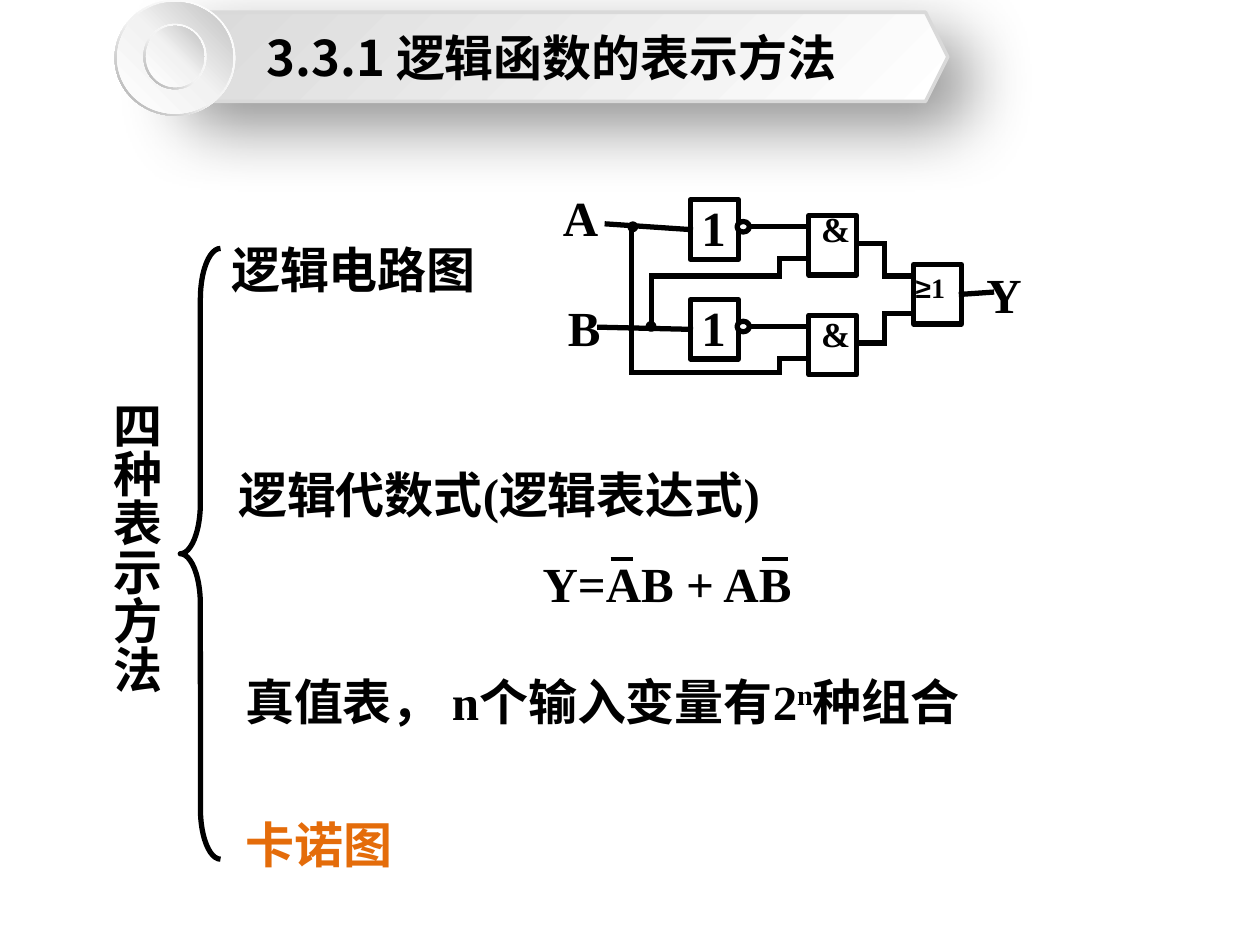
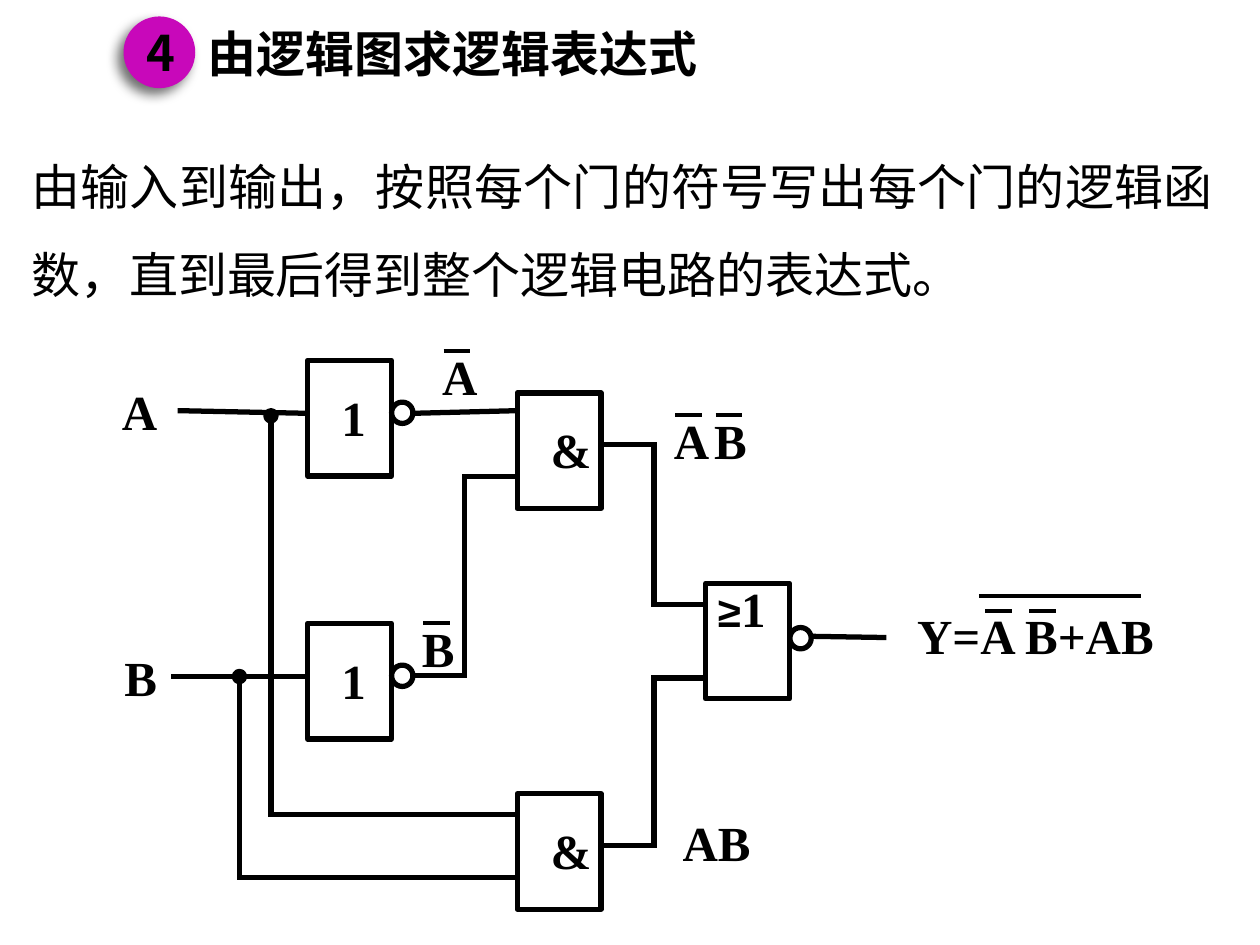
from lxml.etree import SubElement
from pptx import Presentation
from pptx.dml.color import RGBColor
from pptx.enum.shapes import MSO_CONNECTOR, MSO_SHAPE
from pptx.enum.text import MSO_ANCHOR, PP_ALIGN
from pptx.oxml.ns import qn
from pptx.util import Pt

BLACK = RGBColor(0x00, 0x00, 0x00)
WHITE = RGBColor(0xFF, 0xFF, 0xFF)
PALE = RGBColor(0xF2, 0xF2, 0xF2)
LIGHT = RGBColor(0xD9, 0xD9, 0xD9)
SILVER = RGBColor(0xBF, 0xBF, 0xBF)
GREY = RGBColor(0xA6, 0xA6, 0xA6)
ORANGE = RGBColor(0xE4, 0x6C, 0x0A)
PURPLE = RGBColor(0xC8, 0x08, 0xBA)

SERIF = "Times New Roman"
SANS = "Noto Sans CJK SC"
LINE_HEIGHT = 41
WIRE = 3
BAR = 2.25


class CircuitPage:
    """One slide with the shared text, gate and wire style."""

    def __init__(self, deck):
        self.page = deck.slides.add_slide(deck.slide_layouts[6])

    # --- Text ---
    def fill_text(self, shape, spans, size=28, font=SERIF, color=BLACK, bold=True,
                  align=PP_ALIGN.LEFT, anchor=MSO_ANCHOR.TOP):
        """Each span is a text or a (text, font, size) tuple."""
        frame = shape.text_frame
        frame.word_wrap = True
        frame.vertical_anchor = anchor
        paragraph = frame.paragraphs[0]
        paragraph.alignment = align
        for item in [spans] if isinstance(spans, str) else spans:
            text, name, points = item if isinstance(item, tuple) else (item, font, size)
            span = paragraph.add_run()
            span.text = text
            span.font.name = name
            span.font.size = Pt(points)
            span.font.bold = bold
            span.font.color.rgb = color
            SubElement(span.font._element, qn("a:ea"), typeface=SANS)

    def text(self, spans, left, top, width, height=LINE_HEIGHT, **style):
        box = self.page.shapes.add_textbox(Pt(left), Pt(top), Pt(width), Pt(height))
        self.fill_text(box, spans, **style)
        return box

    def barred_letter(self, letter, left, top):
        self.text(letter, left, top, 35)
        self.bar(left + 8, left + 23, top + 6)

    # --- Shapes ---
    def shape(self, kind, left, top, width, height, fill=None, line=None,
              weight=WIRE, adjust=None):
        shape = self.page.shapes.add_shape(kind, Pt(left), Pt(top), Pt(width), Pt(height))
        shape.shadow.inherit = False
        if adjust is not None:
            shape.adjustments[0] = adjust
        if fill is None:
            shape.fill.background()
        else:
            shape.fill.solid()
            shape.fill.fore_color.rgb = fill
        if line is None:
            shape.line.fill.background()
        else:
            shape.line.color.rgb = line
            shape.line.width = Pt(weight)
        return shape

    def gradient(self, shape, stops, clockwise):
        shape.fill.gradient()
        shape.fill.gradient_angle = 360 - clockwise
        stop_list = shape._element.spPr.find(".//" + qn("a:gsLst"))
        for stop in list(stop_list):
            stop_list.remove(stop)
        for percent, color in stops:
            stop = SubElement(stop_list, qn("a:gs"), pos=str(percent * 1000))
            SubElement(stop, qn("a:srgbClr"), val=str(color))

    def cast_shadow(self, shape, opacity, blur, distance, angle):
        effects = shape._element.spPr.find(qn("a:effectLst"))
        shadow = SubElement(effects, qn("a:outerShdw"), blurRad=str(Pt(blur)),
                            dist=str(Pt(distance)), dir=str(angle * 60000),
                            rotWithShape="0")
        color = SubElement(shadow, qn("a:srgbClr"), val=str(BLACK))
        SubElement(color, qn("a:alpha"), val=str(opacity * 1000))

    def gate(self, left, top, width, height):
        return self.shape(MSO_SHAPE.RECTANGLE, left, top, width, height, WHITE, BLACK)

    def bubble(self, left, top, width, height):
        self.shape(MSO_SHAPE.OVAL, left, top, width, height, WHITE, BLACK)

    def junction(self, x, y, size):
        self.shape(MSO_SHAPE.OVAL, x - size / 2, y - size / 2, size, size, BLACK, BLACK)

    # --- Lines ---
    def line(self, start, end, weight, cap="flat"):
        line = self.page.shapes.add_connector(
            MSO_CONNECTOR.STRAIGHT, *(Pt(value) for value in (*start, *end)))
        line.line.color.rgb = BLACK
        line.line.width = Pt(weight)
        line._element.spPr.find(qn("a:ln")).set("cap", cap)
        SubElement(line._element.spPr, qn("a:effectLst"))
        return line

    def wire(self, *points):
        """Draws a path of straight wires and returns the last one."""
        for start, end in zip(points, points[1:]):
            line = self.line(start, end, WIRE, "sq")
        return line

    def bar(self, left, right, y):
        self.line((left, y), (right, y), BAR)


def build_methods(deck):
    page = CircuitPage(deck)

    # Brace and the name it gathers
    page.shape(MSO_SHAPE.LEFT_BRACE, 103, 142, 23, 349, line=BLACK, adjust=1.26)
    heading = page.text("四种表示方法", 54, 222, 48, 212, anchor=MSO_ANCHOR.MIDDLE)
    heading.text_frame._txBody.bodyPr.set("vert", "eaVert")

    # The four methods
    page.text("逻辑电路图", 125, 133, 163, anchor=MSO_ANCHOR.MIDDLE)
    page.text("逻辑代数式(逻辑表达式)", 129, 262, 376, anchor=MSO_ANCHOR.MIDDLE)
    page.text("Y=AB + AB", 303, 312.5, 164)
    page.bar(349, 362, 319.7)
    page.bar(435.6, 450, 319.7)
    truth_table = page.text(["真值表， n个输入变量有2", "n", "种组合"], 133, 380, 433.5)
    exponent = truth_table.text_frame.paragraphs[0].runs[1]
    exponent.font._element.set("baseline", "30000")
    page.text("卡诺图", 133, 461.5, 99, color=ORANGE, align=PP_ALIGN.CENTER,
              anchor=MSO_ANCHOR.MIDDLE)

    # Inverters and AND gates, one row for each input
    gate_size = (27.4, 34)
    inputs = [("A", 0, 314.6, 103.7, (347, 128), 115.2),
              ("B", 57, 317.5, 166.3, (342.7, 187), 175)]
    for name, drop, name_left, name_top, start, sign_top in inputs:
        page.text(name, name_left, name_top, 25)
        inverter = page.gate(394.5, 114.2 + drop, *gate_size)
        page.wire(start, (394.5, 131.2 + drop)).end_connect(inverter, 1)
        page.text("1", 393.8, 109.4 + drop, 14.4)
        page.wire((429, 129.6 + drop), (462, 129.6 + drop))
        page.bubble(421.2, 126.6 + drop, 7, 6)
        page.gate(462.2, 123.2 + drop, *gate_size)
        page.text("&", 462.2, sign_top, 27.4, 32, size=20)

    # OR gate and output
    or_gate = page.gate(522, 151.2, *gate_size)
    page.text([("≥", "Arial", 16), ("1", SERIF, 16)], 516.2, 151.2, 47.5, 27)
    page.wire((549.4, 168.2), (566.6, 167)).begin_connect(or_gate, 3)
    page.text("Y", 556.6, 147.6, 25)

    # Branches and AND outputs
    page.wire((372.2, 186.5), (372.2, 157.7), (445.5, 157.7), (445.5, 147.8), (462, 147.8))
    page.wire((360.8, 129.6), (360.8, 213), (445.5, 213), (445.5, 205), (462, 205))
    page.wire((489.6, 139), (505.5, 139), (505.5, 157.7), (522, 157.7))
    page.wire((489.6, 196), (505.5, 196), (505.5, 179.3), (522, 179.3))
    page.junction(361.6, 129.6, 3.2)
    page.junction(372, 186.5, 3.2)

    # Title band with its round button
    band = page.shape(MSO_SHAPE.HEXAGON, 88.6, 7, 453, 51, line=LIGHT, weight=2)
    page.gradient(band, [(0, WHITE), (100, LIGHT)], 225)
    page.cast_shadow(band, 42, 38, 19, 45)
    page.fill_text(band, "3.3.1 逻辑函数的表示方法", font=SANS, align=PP_ALIGN.CENTER,
                   anchor=MSO_ANCHOR.MIDDLE)
    for left, top, width, height in [(65.5, 0, 69, 66.2), (82, 13.6, 36, 37.4)]:
        rim = page.shape(MSO_SHAPE.DONUT, left, top, width, height, adjust=0.05)
        page.gradient(rim, [(0, WHITE), (55, PALE), (100, GREY)], 135)
        face = page.shape(MSO_SHAPE.OVAL, left + 1.4, top + 1.2, width - 2.8, height - 2.4)
        page.gradient(face, [(0, WHITE), (51, PALE), (100, SILVER)], 315)


def build_expression(deck):
    page = CircuitPage(deck)
    gate_size = (48, 66)
    bubble_size = (12.2, 12.2)

    # Title and explanation
    page.text("由逻辑图求逻辑表达式", 111.6, 10, 299, font="Calibri")
    badge = page.shape(MSO_SHAPE.OVAL, 70.6, 9.4, 41, 41, fill=PURPLE)
    page.cast_shadow(badge, 57, 7, 5, 135)
    page.fill_text(badge, "4", font=SANS, align=PP_ALIGN.CENTER, anchor=MSO_ANCHOR.MIDDLE)
    rule = page.text(
        "由输入到输出，按照每个门的符号写出每个门的逻辑函数，直到最后得到整个逻辑电路的表达式。",
        10.8, 71.3, 689.8, 103, bold=False, align=PP_ALIGN.JUSTIFY,
        anchor=MSO_ANCHOR.MIDDLE)
    rule.text_frame.paragraphs[0].line_spacing = 1.5

    # Inputs and branches
    page.text("A", 62.6, 214.6, 42.5)
    page.text("B", 64, 366.5, 44.6)
    page.wire((103, 234.7), (175.7, 236.2))
    page.wire((99.5, 386.6), (175.7, 386.6))
    page.wire((154.8, 236.2), (154.8, 465.3), (296, 465.3))
    page.wire((136.8, 386.6), (136.8, 501.6), (296, 501.6))
    page.junction(154.8, 237.6, 5.8)
    page.junction(136.8, 386.6, 5.8)

    # Wires between gates
    page.wire((236, 236.2), (295, 234.7))
    page.wire((236, 386), (265.3, 386), (265.3, 272.2), (295, 272.2))
    page.wire((343.4, 254.2), (373.7, 254.2), (373.7, 345.6), (403, 345.6))
    page.wire((343.4, 483.2), (373.7, 483.2), (373.7, 387.4), (403, 387.4))
    page.wire((463.5, 363.6), (505, 364.3))

    # Gates
    for drop in (0, 150.3):
        page.gate(175.7, 206 + drop, *gate_size)
        page.bubble(223.8, 229.8 + drop, *bubble_size)
        page.text("1", 188, 218 + drop, 24)
    for drop in (0, 229):
        page.gate(295.5, 224.6 + drop, *gate_size)
        page.text("&", 307.6, 236.2 + drop, 48)
    page.gate(403.2, 333.4, *gate_size)
    page.bubble(451.4, 358.6, *bubble_size)
    page.text([("≥", "Arial", 24), ("1", SERIF, 28)], 403.2, 327, 66)

    # Gate outputs and the result
    for letter, left, top in [("A", 245.5, 194.4), ("B", 234, 350),
                              ("A", 378, 231.2), ("B", 401, 231.2)]:
        page.barred_letter(letter, left, top)
    page.text("AB", 383, 460.8, 59)
    page.text("Y=A B+AB", 517, 342.7, 170.6)
    page.bar(563, 578.2, 349.2)
    page.bar(588.2, 603.4, 349.2)
    page.bar(559.4, 652.3, 340.6)


def main():
    deck = Presentation()
    deck.slide_width = Pt(720)
    deck.slide_height = Pt(540)
    build_methods(deck)
    build_expression(deck)
    deck.save("out.pptx")


if __name__ == "__main__":
    main()
